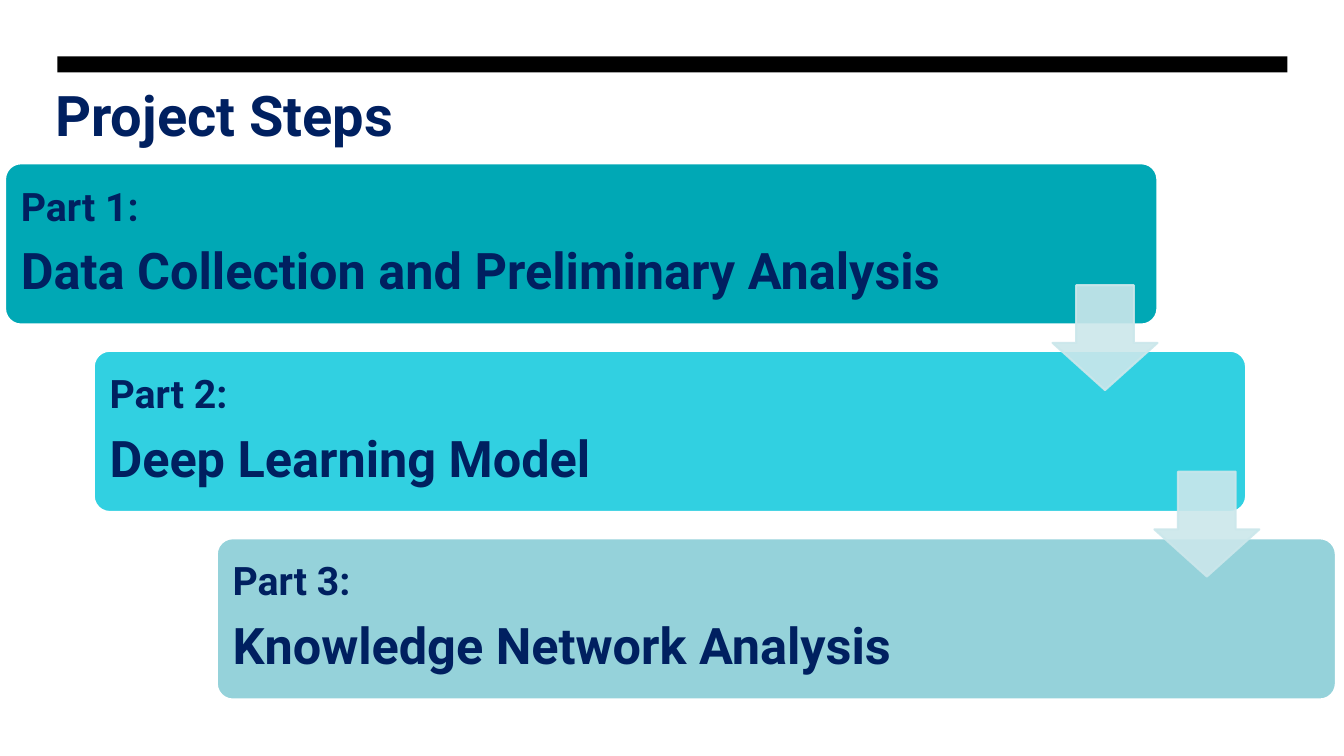
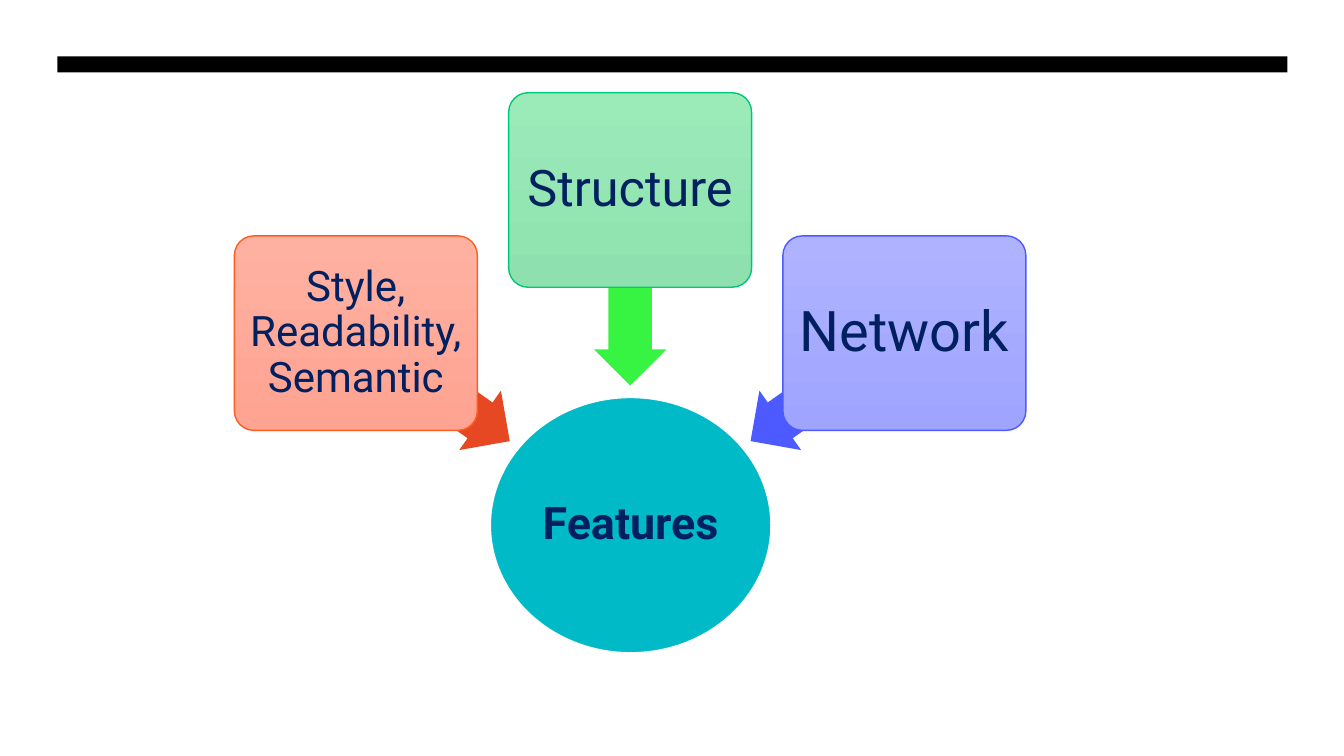
import pptx
import pptx.util
import pptx.dml.color
import pptx.enum.shapes
import pptx.enum.text
import pptx.oxml.ns
import lxml.etree

Inches = pptx.util.Inches
Pt = pptx.util.Pt
RGBColor = pptx.dml.color.RGBColor
SHAPE = pptx.enum.shapes.MSO_SHAPE
ANCHOR = pptx.enum.text.MSO_ANCHOR
ALIGN = pptx.enum.text.PP_ALIGN
qn = pptx.oxml.ns.qn

FONT = "Roboto"
NAVY = RGBColor(0x00, 0x20, 0x60)
BLACK = RGBColor(0x00, 0x00, 0x00)
WHITE = RGBColor(0xFF, 0xFF, 0xFF)
TEAL = RGBColor(0x00, 0xA8, 0xB5)
CYAN = RGBColor(0x31, 0xD0, 0xE1)
MIST = RGBColor(0x95, 0xD2, 0xDA)
PALE = RGBColor(0xCB, 0xE7, 0xEB)
HUB = RGBColor(0x00, 0xBA, 0xC8)
RED = RGBColor(0xE6, 0x48, 0x23)
ORANGE = RGBColor(0xFE, 0x5D, 0x21)
PEACH = (RGBColor(0xFF, 0xB1, 0xA1), RGBColor(0xFF, 0xA3, 0x92))
LIME = RGBColor(0x36, 0xF4, 0x41)
GREEN = RGBColor(0x00, 0xC7, 0x77)
MINT = (RGBColor(0x9B, 0xEB, 0xB9), RGBColor(0x8E, 0xE1, 0xAE))
BLUE = RGBColor(0x4D, 0x5A, 0xFF)
LAVENDER = (RGBColor(0xAF, 0xB3, 0xFF), RGBColor(0x9F, 0xA4, 0xFF))


class Deck:
    """Holds the shared style and the slide being built."""

    def __init__(self):
        self.prs = pptx.Presentation()
        self.prs.slide_width = Inches(13.33)
        self.prs.slide_height = Inches(7.5)
        self.s = None

    def slide(self):
        self.s = self.prs.slides.add_slide(self.prs.slide_layouts[6])
        self.shape(SHAPE.RECTANGLE, 0.57, 0.56, 12.2, 0.16, BLACK)

    def shape(self, kind, x, y, w, h, fill, line=None, weight=1.5, adjust=()):
        sp = self.s.shapes.add_shape(kind, Inches(x), Inches(y), Inches(w), Inches(h))
        sp.shadow.inherit = False
        for i, value in enumerate(adjust):
            sp.adjustments[i] = value
        if isinstance(fill, RGBColor):
            sp.fill.solid()
            sp.fill.fore_color.rgb = fill
        else:
            sp.fill.gradient()
            sp.fill.gradient_angle = 270
            for stop, color in zip(sp.fill.gradient_stops, fill):
                stop.color.rgb = color
        if line is None:
            sp.line.fill.background()
        else:
            sp.line.color.rgb = line
            sp.line.width = Pt(weight)
        return sp

    def text(self, sp, paragraphs, inset, bold=False, align=ALIGN.LEFT):
        tf = sp.text_frame
        tf.word_wrap = True
        tf.vertical_anchor = ANCHOR.MIDDLE
        tf.margin_left = tf.margin_right = Inches(inset)
        tf.margin_top = tf.margin_bottom = Inches(inset)
        for i, (words, size, after) in enumerate(paragraphs):
            p = tf.add_paragraph() if i else tf.paragraphs[0]
            p.text = words
            p.alignment = align
            p.line_spacing = 0.9
            p.space_after = Pt(after)
            p.font.name = FONT
            p.font.size = Pt(size)
            p.font.bold = bold
            p.font.color.rgb = NAVY

    def title(self, words):
        sp = self.s.shapes.add_textbox(Inches(0.45), Inches(0.74), Inches(4.42), Inches(0.87))
        self.text(sp, [(words, 40, 0)], 0.1, bold=True)

    def step(self, x, y, w, label, words, fill):
        sp = self.shape(SHAPE.ROUNDED_RECTANGLE, x, y, w, 1.6, fill, WHITE, adjust=[0.1])
        self.text(sp, [(label, 28, 12), (words, 36, 15)], 0.11, bold=True)

    def step_arrow(self, x, y):
        sp = self.shape(SHAPE.DOWN_ARROW, x, y, 1.04, 1.04, PALE, PALE, adjust=[0.55, 0.45])
        for color in sp._element.spPr.iter(qn("a:srgbClr")):
            lxml.etree.SubElement(color, qn("a:alpha"), val="90000")

    def hub(self, words):
        sp = self.shape(SHAPE.OVAL, 4.86, 3.94, 2.79, 2.54, HUB, WHITE)
        self.text(sp, [(words, 32, 13)], 0.02, bold=True, align=ALIGN.CENTER)

    def feature_arrow(self, cx, cy, w, angle, fill):
        h = 0.72
        sp = self.shape(SHAPE.LEFT_ARROW, cx - w / 2, cy - h / 2, w, h, fill, adjust=[0.6, 0.5])
        sp.rotation = angle

    def feature(self, cx, y, words, size, after, fill, line):
        w = 2.41
        sp = self.shape(SHAPE.ROUNDED_RECTANGLE, cx - w / 2, y, w, 1.93, fill, line, 1, [0.1])
        self.text(sp, [(words, size, after)], 0.06, align=ALIGN.CENTER)


def build_steps(deck):
    deck.slide()
    deck.title("Project Steps")
    steps = [
        (0.05, 11.43, "Data Collection and Preliminary Analysis", TEAL),
        (0.93, 11.43, "Deep Learning Model", CYAN),
        (2.15, 11.1, "Knowledge Network Analysis", MIST),
    ]
    for i, (x, w, words, fill) in enumerate(steps):
        deck.step(x, 1.62 + 1.86 * i, w, f"Part {i + 1}:", words, fill)
    for i in range(len(steps) - 1):
        deck.step_arrow(10.44 + 1.01 * i, 2.83 + 1.85 * i)


def build_features(deck):
    deck.slide()
    deck.hub("Features")
    center = 6.25
    features = [
        (-1, 2.34, "Style, Readability, Semantic", 30, 13, PEACH, ORANGE, 3.84, 1.87, 215, RED),
        (0, 0.92, "Structure", 36, 15, MINT, GREEN, 2.85, 1.95, 270, LIME),
        (1, 2.34, "Network", 40, 17, LAVENDER, BLUE, 3.84, 1.87, 325, BLUE),
    ]
    for side, y, words, size, after, fill, line, cy, length, angle, color in features:
        deck.feature_arrow(center + 1.96 * side, cy, length, angle, color)
        deck.feature(center + 2.72 * side, y, words, size, after, fill, line)


def main():
    deck = Deck()
    build_steps(deck)
    build_features(deck)
    deck.prs.save("out.pptx")


if __name__ == "__main__":
    main()
